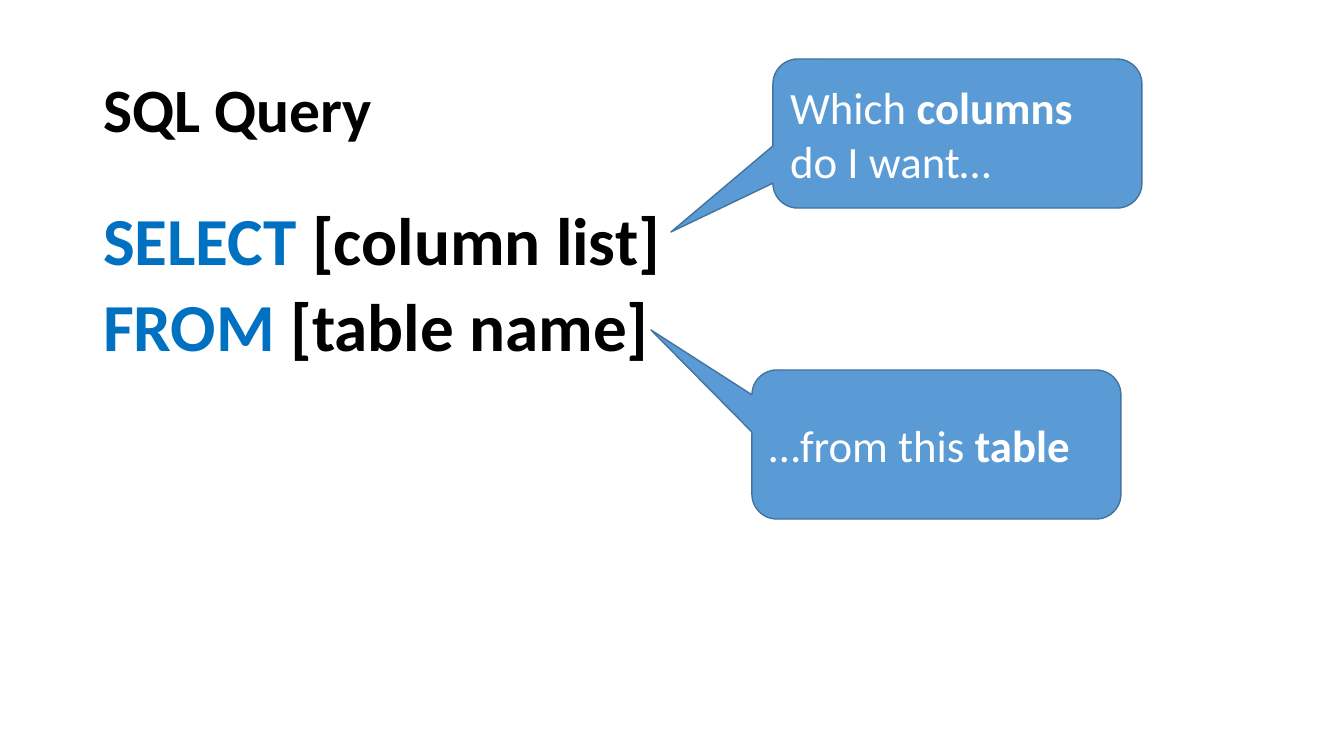
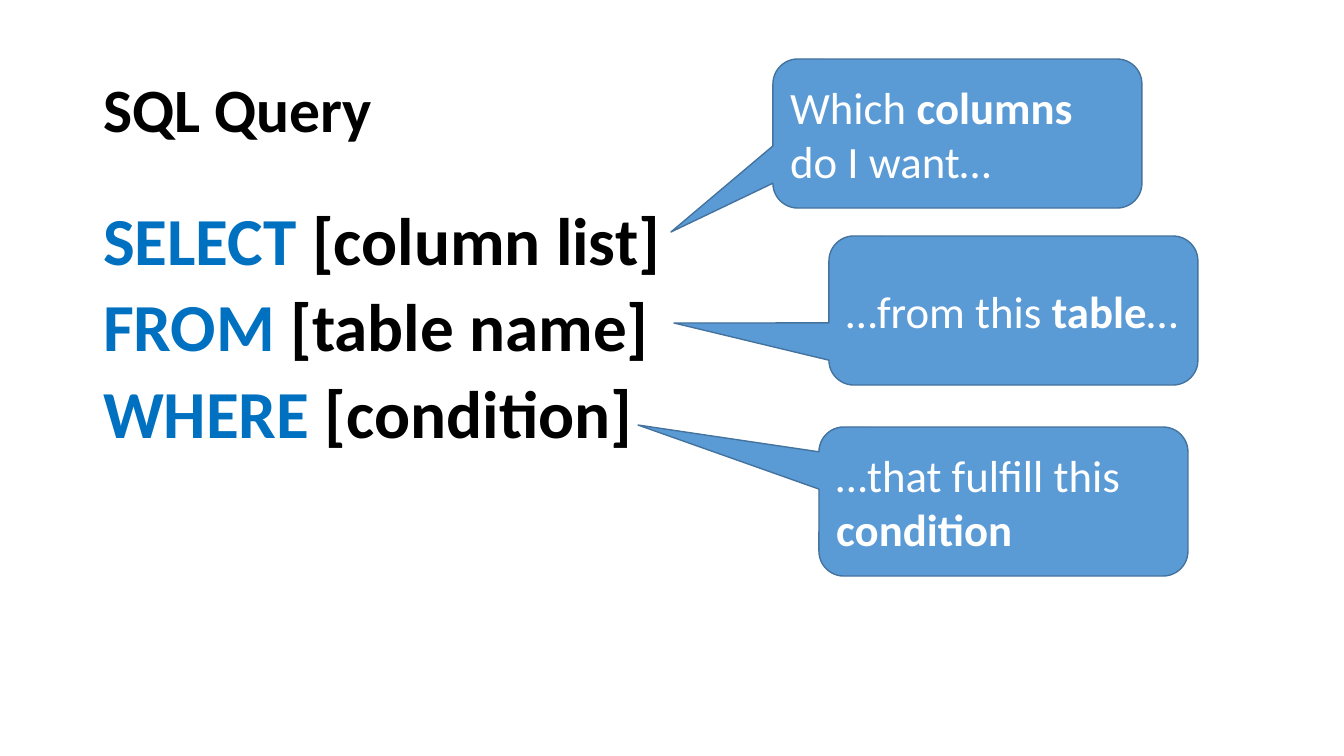
from lxml import etree
from pptx import Presentation
from pptx.dml.color import RGBColor
from pptx.enum.shapes import MSO_SHAPE
from pptx.enum.text import MSO_ANCHOR, MSO_AUTO_SIZE, PP_ALIGN
from pptx.oxml.ns import qn
from pptx.util import Emu, Pt

CALLOUT = MSO_SHAPE.ROUNDED_RECTANGULAR_CALLOUT
LEFT = PP_ALIGN.LEFT
TOP, MIDDLE = MSO_ANCHOR.TOP, MSO_ANCHOR.MIDDLE
NO_FIT = MSO_AUTO_SIZE.NONE
TITLE_AND_CONTENT = 1

BLACK, WHITE, KEYWORD = "000000", "FFFFFF", "0070C0"
CALLOUT_FILL, CALLOUT_LINE = "5B9BD5", "43739E"


def px(length):
    """Turn pixels into EMU."""
    return Emu(round(length * 914400 / 100.8))


def colour(code):
    """Turn a hex string into a colour."""
    return RGBColor.from_string(code)


def write(paragraph, text, *, size, color=BLACK, bold=False):
    """Add formatted text to a paragraph."""
    run = paragraph.add_run()
    run.text = text
    run.font.name = "Calibri"
    run.font.size = Pt(size)
    run.font.bold = bold
    run.font.color.rgb = colour(color)


class QueryDeck:
    """Hold the shared style and the current slide."""

    margin, content_width = 93, 1159
    callout_width, callout_height = 369, 149

    def __init__(self):
        """Start an empty widescreen presentation."""
        self.presentation = Presentation()
        self.presentation.slide_width = px(1344)
        self.presentation.slide_height = px(756)
        self.slide = None

    def place(self, placeholder, top, height, anchor):
        """Move a placeholder and return its text frame."""
        placeholder.left, placeholder.top = px(self.margin), px(top)
        placeholder.width, placeholder.height = px(self.content_width), px(height)
        frame = placeholder.text_frame
        frame.word_wrap = True
        frame.auto_size = NO_FIT
        frame.vertical_anchor = anchor
        return frame

    def add_slide(self, title):
        """Add a slide with its title."""
        layout = self.presentation.slide_layouts[TITLE_AND_CONTENT]
        self.slide = self.presentation.slides.add_slide(layout)
        heading = self.place(self.slide.shapes.title, 40, 146, MIDDLE).paragraphs[0]
        heading.alignment = LEFT
        heading.line_spacing = 0.9
        write(heading, title, size=44, bold=True)

    def add_clauses(self, clauses):
        """Fill the body with one query clause per paragraph."""
        frame = self.place(self.slide.placeholders[1], 202, 480, TOP)
        for index, (keyword, argument) in enumerate(clauses):
            clause = frame.add_paragraph() if index else frame.paragraphs[0]
            clause.alignment = LEFT
            clause.line_spacing = 0.9
            clause.space_before = Pt(10 if index else 0)
            properties = clause._p.get_or_add_pPr()
            properties.set("marL", "0")
            properties.set("indent", "0")
            etree.SubElement(properties, qn("a:buNone"))
            write(clause, keyword, size=48, color=KEYWORD, bold=True)
            write(clause, f" [{argument}]", size=48, bold=True)

    def add_callout(self, left, top, tip, before, strong, after=""):
        """Draw a callout whose tail ends at the tip."""
        width, height = self.callout_width, self.callout_height
        callout = self.slide.shapes.add_shape(
            CALLOUT, px(left), px(top), px(width), px(height))
        callout.adjustments[0] = (tip[0] - left) / width - 0.5
        callout.adjustments[1] = (tip[1] - top) / height - 0.5
        callout.shadow.inherit = False
        callout.fill.solid()
        callout.fill.fore_color.rgb = colour(CALLOUT_FILL)
        callout.line.color.rgb = colour(CALLOUT_LINE)
        callout.line.width = Pt(1)
        frame = callout.text_frame
        frame.word_wrap = True
        frame.vertical_anchor = MIDDLE
        question = frame.paragraphs[0]
        question.alignment = LEFT
        for text, bold in ((before, False), (strong, True), (after, False)):
            if text:
                write(question, text, size=32, color=WHITE, bold=bold)

    def add_query(self, clauses, callouts):
        """Add a slide that explains a query clause by clause."""
        self.add_slide("SQL Query")
        self.add_clauses(clauses)
        for callout in callouts:
            self.add_callout(*callout)


def main():
    """Build and save the slides."""
    deck = QueryDeck()
    select_from = [("SELECT", "column list"), ("FROM", "table name")]
    which_columns = (773, 59, (671, 232), "Which ", "columns", " do I want…")
    deck.add_query(select_from, [
        which_columns,
        (752, 370, (651, 330), "…from this ", "table"),
    ])
    deck.add_query(select_from + [("WHERE", "condition")], [
        which_columns,
        (829, 236, (674, 323), "…from this ", "table", "…"),
        (819, 427, (638, 425), "…that fulfill this ", "condition"),
    ])
    deck.presentation.save("out.pptx")


if __name__ == "__main__":
    main()
